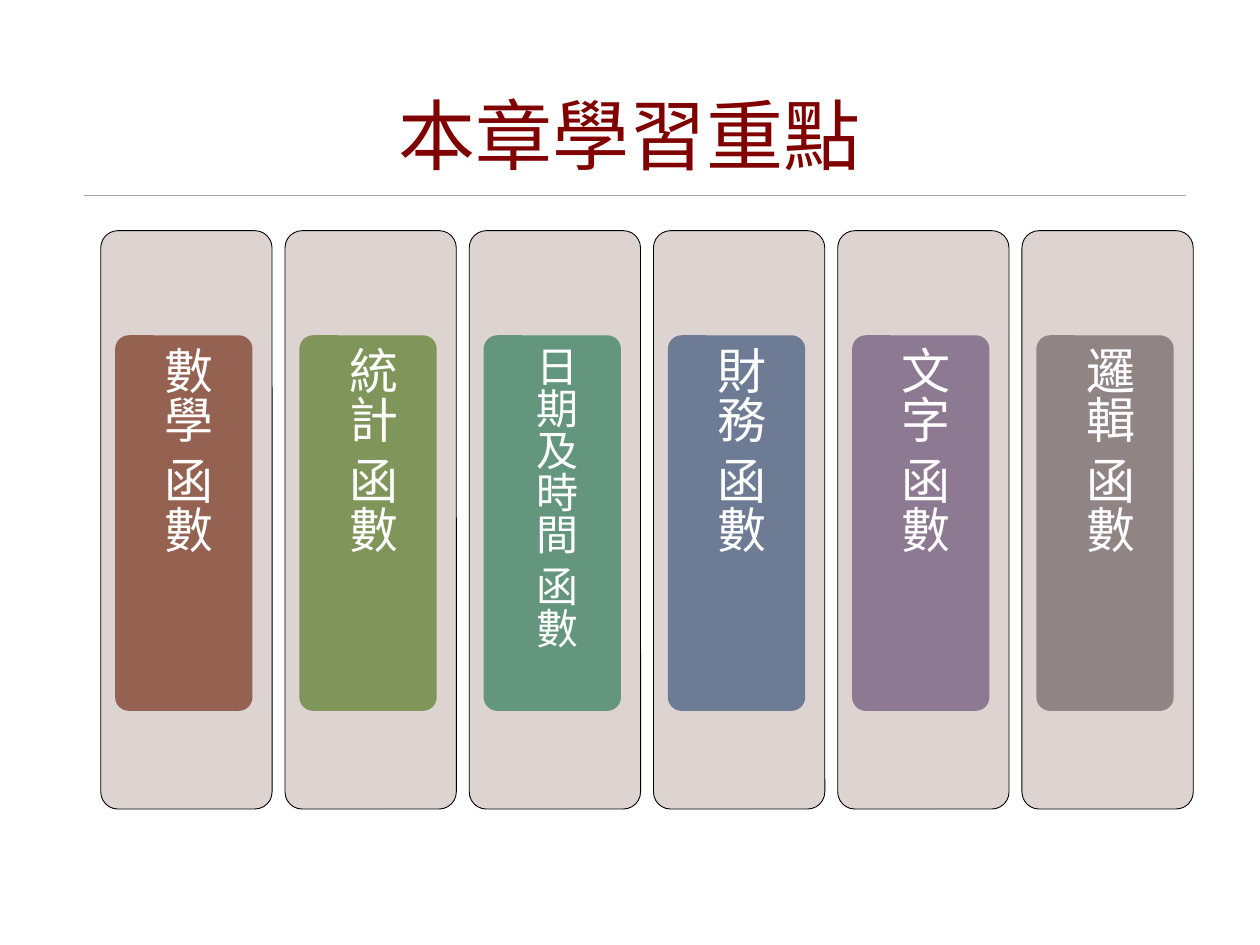
from dataclasses import dataclass

from lxml.etree import SubElement
from pptx import Presentation
from pptx.dml.color import RGBColor
from pptx.enum.shapes import MSO_CONNECTOR, MSO_SHAPE
from pptx.enum.text import MSO_ANCHOR, PP_ALIGN
from pptx.oxml.ns import qn
from pptx.util import Pt


@dataclass(frozen=True)
class Theme:
    font: str = "Times New Roman"
    title: str = "800000"
    rule: str = "A6A6A6"
    panel: str = "DDD3D0"
    edge: str = "000000"
    label: str = "FFFFFF"
    head: float = 44
    large: float = 28
    small: float = 24
    thin: float = 0.5


THEME = Theme()

# Label, card colour, type size
TOPICS = [
    ("數學 函數", "956251", THEME.large),
    ("統計 函數", "7F955A", THEME.large),
    ("日期及時間 函數", "64957D", THEME.small),
    ("財務 函數", "6E7B94", THEME.large),
    ("文字 函數", "8D7992", THEME.large),
    ("邏輯 函數", "918485", THEME.large),
]


def color(code):
    return RGBColor.from_string(code)


def add_text(slide, box, text, size, tint):
    """Place one centred paragraph and return its frame."""
    frame = slide.shapes.add_textbox(*map(Pt, box)).text_frame
    frame.word_wrap = True
    frame.vertical_anchor = MSO_ANCHOR.MIDDLE
    para = frame.paragraphs[0]
    para.text = text
    para.alignment = PP_ALIGN.CENTER
    para.line_spacing = 0.9
    para.font.name = THEME.font
    para.font.size = Pt(size)
    para.font.color.rgb = color(tint)
    return frame


def add_round(slide, box, fill, edge=None):
    shape = slide.shapes.add_shape(MSO_SHAPE.ROUNDED_RECTANGLE, *map(Pt, box))
    shape.adjustments[0] = 0.1
    shape.shadow.inherit = False
    shape.fill.solid()
    shape.fill.fore_color.rgb = color(fill)
    if edge:
        shape.line.color.rgb = color(edge)
        shape.line.width = Pt(THEME.thin)
    else:
        shape.line.fill.background()


def add_title(slide, box, text):
    left, top, width, height = box
    # Rule below the heading
    y = top + 73.4
    ends = (left - 1.5, y, left + width + 7.2, y)
    rule = slide.shapes.add_connector(MSO_CONNECTOR.STRAIGHT, *map(Pt, ends))
    rule.line.color.rgb = color(THEME.rule)
    rule.line.width = Pt(THEME.thin)
    SubElement(rule._element.spPr, qn("a:effectLst"))
    # Heading
    add_text(slide, box, text, THEME.head, THEME.title)


def add_panel(slide, box, text, fill, size):
    left, top, width, height = box
    # Pale panel with a coloured card
    add_round(slide, box, THEME.panel, THEME.edge)
    card = (left + 8.2, top + 59.8, 78.5, 214.6)
    add_round(slide, card, fill)
    # Vertical label
    inner = (card[0] + 2.3, card[1] + 2.3, card[2] - 4.6, card[3] - 4.6)
    frame = add_text(slide, inner, text, size, THEME.label)
    frame._txBody.bodyPr.set("vert", "eaVert")
    frame.margin_left = frame.margin_right = Pt(size * 0.2)
    frame.margin_top = frame.margin_bottom = Pt(size * 0.15)
    frame.paragraphs[0].space_after = Pt(size * 0.35)


def add_row(slide, box, topics):
    left, top, width, height = box
    wide = 97.9
    step = (width - wide) / (len(topics) - 1)
    for i, topic in enumerate(topics):
        add_panel(slide, (left + i * step, top, wide, height), *topic)


def main():
    deck = Presentation()
    deck.slide_width, deck.slide_height = Pt(720), Pt(540)
    slide = deck.slides.add_slide(deck.slide_layouts[6])
    add_title(slide, (49.7, 38.2, 620.6, 82.8), "本章學習重點")
    add_row(slide, (57.6, 131.8, 624.3, 330.5), TOPICS)
    deck.save("out.pptx")


if __name__ == "__main__":
    main()
